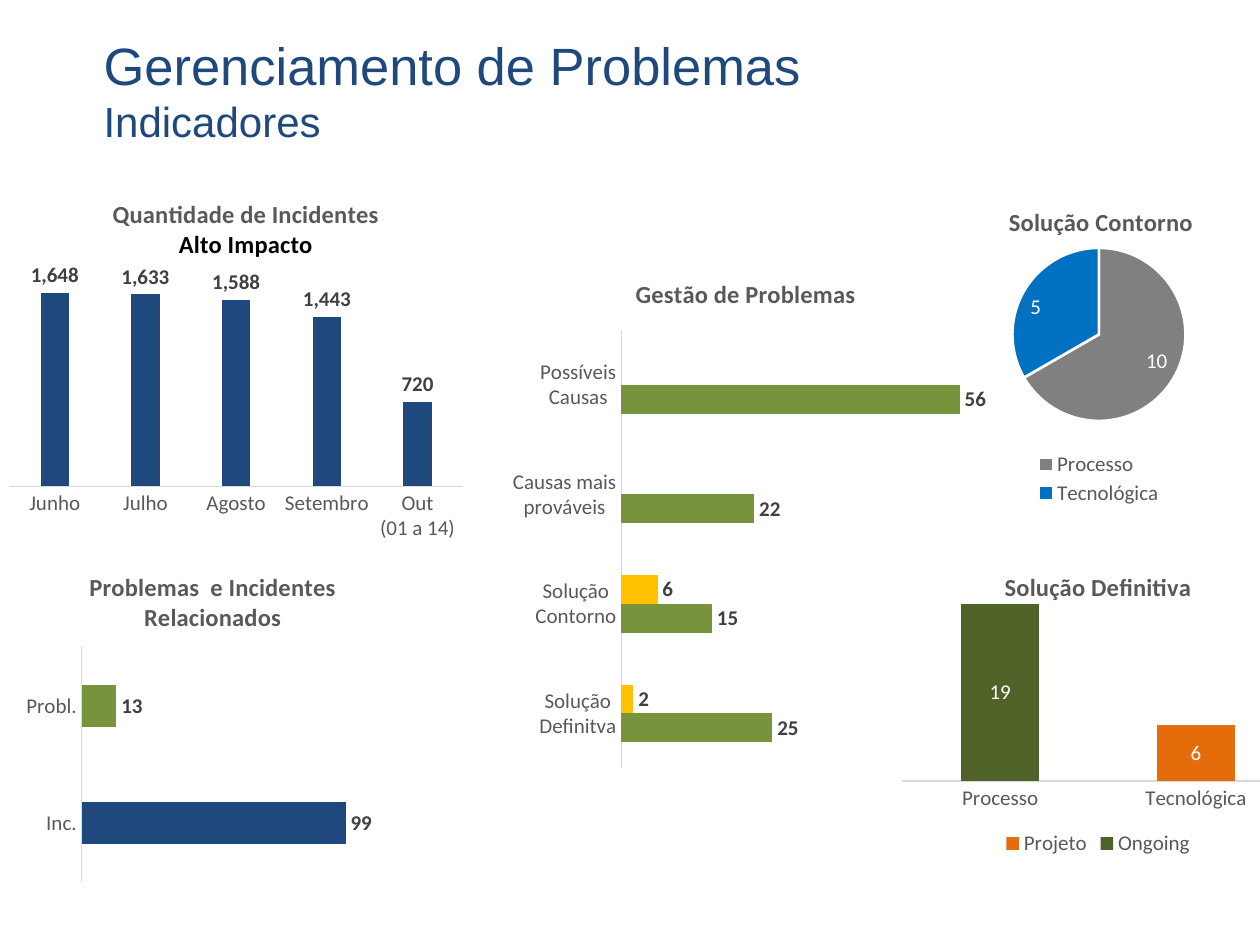
from lxml.etree import SubElement
from pptx import Presentation
from pptx.chart.data import CategoryChartData
from pptx.dml.color import RGBColor
from pptx.enum.chart import XL_CHART_TYPE as CT, XL_LABEL_POSITION as POS
from pptx.enum.chart import XL_LEGEND_POSITION as LEGEND, XL_TICK_MARK as TICK
from pptx.enum.chart import XL_TICK_LABEL_POSITION as TICK_LABEL
from pptx.enum.text import MSO_ANCHOR as ANCHOR, PP_ALIGN as ALIGN
from pptx.oxml.ns import qn
from pptx.util import Pt

NAVY, GREEN, YELLOW = "1F497D", "77933C", "FFC000"
GREY, BLUE, ORANGE, OLIVE = "808080", "0070C0", "E46C0A", "4F6228"
TEXT, LABEL, AXIS, WHITE, BLACK = "595959", "404040", "D9D9D9", "FFFFFF", "000000"


def rgb(hex_code):
    return RGBColor.from_string(hex_code)


def fill(fmt, color):
    fmt.fill.solid()
    fmt.fill.fore_color.rgb = rgb(color)


def style(font, size=12, color=TEXT, bold=False, name="Calibri"):
    font.size, font.bold, font.name = Pt(size), bold, name
    font.color.rgb = rgb(color)


def add_text(tf, text, first=False, align=ALIGN.CENTER, **fmt):
    p = tf.paragraphs[0] if first else tf.add_paragraph()
    p.alignment = align
    r = p.add_run()
    r.text = text
    style(r.font, **fmt)


def place(el, x, y, w=None, h=None, inner=False):
    """Give a chart part a manual layout, in fractions of the chart."""
    for old in el.findall(qn("c:layout")):
        el.remove(old)
    layout = SubElement(el, qn("c:layout"))
    overlay = el.find(qn("c:overlay"))
    if overlay is None:
        el.insert(0, layout)
    else:
        overlay.addprevious(layout)
    manual = SubElement(layout, qn("c:manualLayout"))
    values = [("layoutTarget", "inner")] if inner else []
    values += [("xMode", "edge"), ("yMode", "edge"), ("x", x), ("y", y)]
    if w:
        values += [("w", w), ("h", h)]
    for tag, value in values:
        SubElement(manual, qn(f"c:{tag}")).set("val", str(value))


def add_chart(slide, kind, box, cats, series, title, title_at, plot_at):
    """series holds (name, values); title holds (line, colour)."""
    data = CategoryChartData()
    data.categories = cats
    for name, values in series:
        data.add_series(name, values)
    chart = slide.shapes.add_chart(kind, *map(Pt, box), data).chart
    style(chart.font, 10, BLACK)
    chart.has_legend = False
    chart.has_title = True
    for i, (line, color) in enumerate(title):
        add_text(chart.chart_title.text_frame, line, first=i == 0,
                 size=14, color=color, bold=True)
    place(chart.chart_title._element, *title_at)
    place(chart._chartSpace.chart.plotArea, *plot_at, inner=True)
    return chart


def format_bars(chart, top, gap, overlap=0):
    plot = chart.plots[0]
    plot.vary_by_categories = False
    plot.gap_width, plot.overlap = gap, overlap
    values, cats = chart.value_axis, chart.category_axis
    values.visible = values.has_major_gridlines = False
    values.minimum_scale, values.maximum_scale = 0, top
    cats.major_tick_mark = cats.minor_tick_mark = TICK.NONE
    cats.tick_label_position = TICK_LABEL.NEXT_TO_AXIS
    style(cats.tick_labels.font)
    cats.format.line.color.rgb = rgb(AXIS)
    cats.format.line.width = Pt(0.75)


def color_series(chart, colors):
    for ser, color in zip(chart.plots[0].series, colors):
        ser.invert_if_negative = False
        fill(ser.format, color)


def color_points(chart, colors):
    for i, color in enumerate(colors):
        fill(chart.plots[0].series[0].points[i].format, color)


def label_series(chart, position, number_format="General", **fmt):
    for ser in chart.plots[0].series:
        labels = ser.data_labels
        labels.show_value = True
        labels.number_format = number_format
        labels.number_format_is_linked = False
        labels.position = position
        style(labels.font, **fmt)


def add_legend(chart, at=None):
    chart.has_legend = True
    chart.legend.position = LEGEND.BOTTOM
    chart.legend.include_in_layout = False
    style(chart.legend.font)
    if at:
        place(chart.legend._element, *at)


def add_title(slide):
    title = slide.shapes.title
    title.left, title.top, title.width, title.height = map(Pt, (52, 17, 444, 68))
    tf = title.text_frame
    tf.word_wrap = True
    tf.vertical_anchor = ANCHOR.MIDDLE
    fmt = dict(align=ALIGN.LEFT, color=NAVY, name="Arial")
    add_text(tf, "Gerenciamento de Problemas", first=True, size=30, **fmt)
    add_text(tf, "Indicadores", size=24, **fmt)


def main():
    prs = Presentation()
    prs.slide_width, prs.slide_height = Pt(720), Pt(540)
    slide = prs.slides.add_slide(prs.slide_layouts[5])
    dark = dict(color=LABEL, bold=True)

    incidents = add_chart(
        slide, CT.COLUMN_CLUSTERED, (0, 102, 270, 212),
        ["Junho", "Julho", "Agosto", "Setembro", "Out\n(01 a 14)"],
        [("Incidentes", (1648, 1633, 1588, 1443, 720))],
        [("Quantidade de Incidentes", TEXT), ("Alto Impacto", BLACK)],
        (0.23, 0.04), (0.02, 0.26, 0.96, 0.57))
    format_bars(incidents, 1800, 219, -27)
    color_series(incidents, [NAVY])
    label_series(incidents, POS.OUTSIDE_END, "#,##0", **dark)

    related = add_chart(
        slide, CT.BAR_CLUSTERED, (11, 316, 223, 192), ["Inc.", "Probl."],
        [("Relacionados", (99, 13))],
        [("Problemas  e Incidentes", TEXT), ("Relacionados", TEXT)],
        (0.17, 0.04), (0.16, 0.28, 0.82, 0.7))
    format_bars(related, 120, 182)
    color_series(related, [NAVY])
    color_points(related, [NAVY, GREEN])
    label_series(related, POS.OUTSIDE_END, **dark)

    problems = add_chart(
        slide, CT.BAR_CLUSTERED, (284, 147, 284, 298),
        ["Solução\nDefinitva", "Solução\nContorno",
         "Causas mais\nprováveis", "Possíveis\nCausas"],
        [("Series 1", (25, 15, 22, 56)), ("Series 2", (2, 6, None, None))],
        [("Gestão de Problemas", TEXT)], (0.27, 0.03), (0.25, 0.14, 0.73, 0.84))
    format_bars(problems, 60, 182)
    color_series(problems, [GREEN, YELLOW])
    label_series(problems, POS.OUTSIDE_END, **dark)

    workaround = add_chart(
        slide, CT.PIE, (553, 99, 150, 194), ["Processo", "Tecnológica"],
        [("Solução Contorno", (10, 5))], [("Solução Contorno", TEXT)],
        (0.14, 0.08), (0.17, 0.22, 0.66, 0.51))
    workaround.plots[0].vary_by_categories = True
    color_points(workaround, [GREY, BLUE])
    for i in range(2):
        border = workaround.plots[0].series[0].points[i].format.line
        border.color.rgb = rgb(WHITE)
        border.width = Pt(1.5)
    label_series(workaround, POS.INSIDE_END, color=WHITE)
    add_legend(workaround, (0.25, 0.81, 0.5, 0.18))

    definitive = add_chart(
        slide, CT.COLUMN_STACKED, (511, 302, 233, 190),
        ["Processo", "Tecnológica"],
        [("Projeto", (None, 6)), ("Ongoing", (19, None))],
        [("Solução Definitiva", TEXT)], (0.26, 0.11), (0.02, 0.2, 0.96, 0.56))
    format_bars(definitive, 20, 150, 100)
    color_series(definitive, [ORANGE, OLIVE])
    label_series(definitive, POS.CENTER, color=WHITE)
    add_legend(definitive)

    add_title(slide)
    prs.save("out.pptx")


if __name__ == "__main__":
    main()
